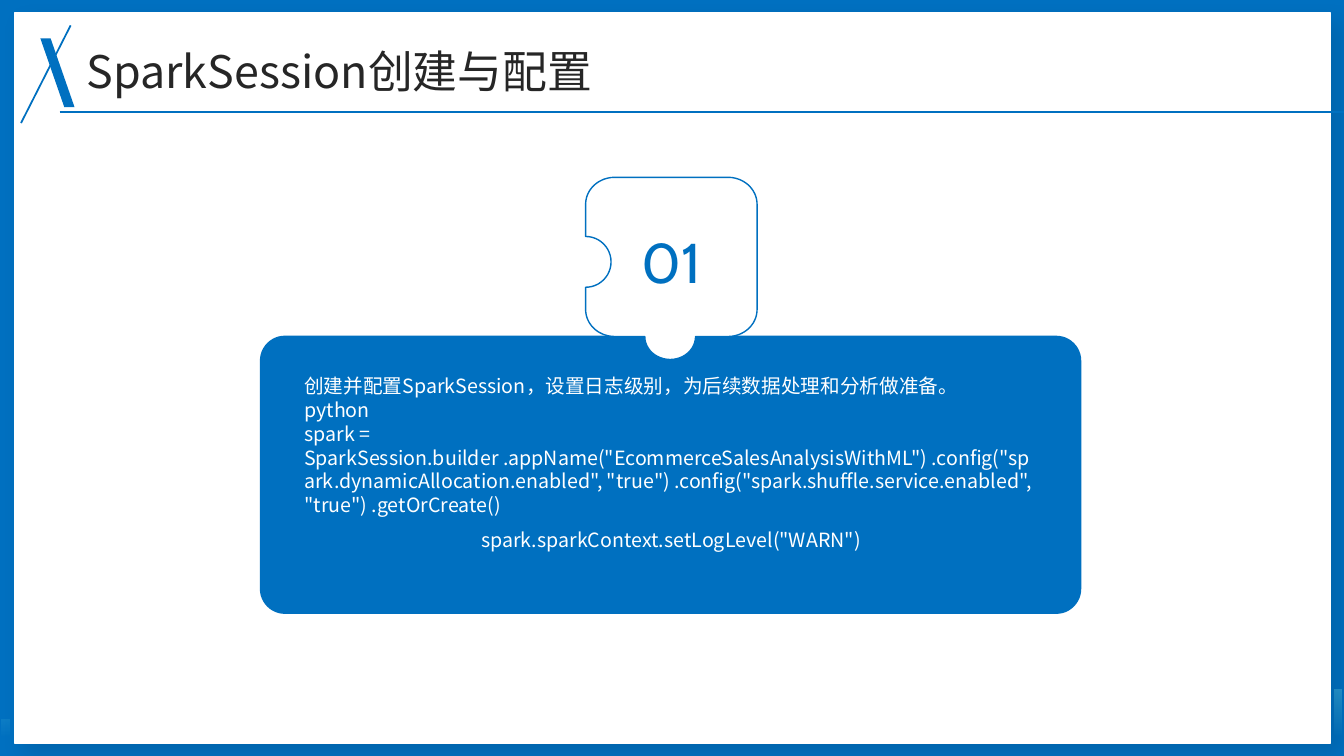
"""Build the slide on creating and configuring a SparkSession."""
from math import cos, radians, sin

from lxml import etree
from pptx import Presentation
from pptx.dml.color import RGBColor
from pptx.enum.shapes import MSO_CONNECTOR, MSO_SHAPE
from pptx.enum.text import MSO_ANCHOR, PP_ALIGN
from pptx.oxml import parse_xml
from pptx.oxml.ns import qn
from pptx.util import Cm, Pt

TITLE = "SparkSession创建与配置"
NUMBER = "01"
EXPLANATION = [
    "创建并配置SparkSession，设置日志级别，为后续数据处理和分析做准备。",
    "python",
    'spark = SparkSession.builder .appName("EcommerceSalesAnalysisWithML") .config("spark.dynamicAllocation.enabled", "true") .config("spark.shuffle.service.enabled", "true") .getOrCreate()',
    'spark.sparkContext.setLogLevel("WARN")',
]

BLUE = RGBColor(0x00, 0x70, 0xC0)
WHITE = RGBColor(0xFF, 0xFF, 0xFF)
INK = RGBColor(0x26, 0x26, 0x26)
SANS, DIGITS = "Noto Sans CJK SC", "Cabin"
RECT, ROUNDED, SLANT = MSO_SHAPE.RECTANGLE, MSO_SHAPE.ROUNDED_RECTANGLE, MSO_SHAPE.PARALLELOGRAM
STRAIGHT = MSO_CONNECTOR.STRAIGHT
TOP, MIDDLE = MSO_ANCHOR.TOP, MSO_ANCHOR.MIDDLE
LEFT, CENTER = PP_ALIGN.LEFT, PP_ALIGN.CENTER
A = "http://schemas.openxmlformats.org/drawingml/2006/main"

WIDTH, HEIGHT = 33.87, 19.05
GLOW_BARS = [(0.05, 18.14, 11), (33.63, 17.37, 30)]
GLOW_WIDTH, GLOW_END = 0.19, 18.59
TITLE_LINES = [(1.78, 0.64, 0.53, 3.1), (1.5, 2.82, WIDTH, 2.82)]
PIECE = (14.76, 4.47, 19.08, 8.48)
CORNER = (0.73, 0.68)
TAB_X, TAB_SIZE = 16.89, (0.64, 0.58)
NOTCH_Y, NOTCH_SIZE = 6.6, (0.64, 0.64)


def add_block(slide, kind, box, color):
    block = slide.shapes.add_shape(kind, *map(Cm, box))
    block.shadow.inherit = False
    block.fill.solid()
    block.fill.fore_color.rgb = color
    block.line.fill.background()
    return block


def add_glow(slide, left, top, alpha):
    glow = add_block(slide, RECT, (left, top, GLOW_WIDTH, GLOW_END - top), BLUE)
    fill = glow.fill._xPr.find(qn("a:solidFill"))
    stops = "".join(
        f'<a:gs pos="{place}"><a:srgbClr val="7AE8F0"><a:alpha val="{value * 1000}"/></a:srgbClr></a:gs>'
        for place, value in ((0, alpha), (100000, 0)))
    gradient = parse_xml(
        f'<a:gradFill xmlns:a="{A}"><a:gsLst>{stops}</a:gsLst><a:lin ang="5400000" scaled="0"/></a:gradFill>')
    fill.getparent().replace(fill, gradient)


def add_panel_shadow(panel):
    effects = panel._element.spPr.find(qn("a:effectLst"))
    shadow = etree.SubElement(effects, qn("a:outerShdw"), blurRad=str(Pt(15)),
                              dist=str(Pt(10)), dir="2700000", algn="tl", rotWithShape="0")
    color = etree.SubElement(shadow, qn("a:srgbClr"), val="000000")
    etree.SubElement(color, qn("a:alpha"), val="10000")


def arc(center_x, center_y, radii, start, end, steps=24):
    angles = [radians(start + (end - start) * i / steps) for i in range(steps + 1)]
    return [(center_x + radii[0] * cos(a), center_y + radii[1] * sin(a)) for a in angles]


def add_puzzle_piece(slide):
    left, top, right, bottom = PIECE
    rx, ry = CORNER
    outline = (
        arc(left + rx, top + ry, CORNER, 180, 270)
        + arc(right - rx, top + ry, CORNER, 270, 360)
        + arc(right - rx, bottom - ry, CORNER, 0, 90)
        + arc(TAB_X, bottom, TAB_SIZE, 0, 180)
        + arc(left + rx, bottom - ry, CORNER, 90, 180)
        + arc(left, NOTCH_Y, NOTCH_SIZE, 90, -90))
    points = [(Cm(x), Cm(y)) for x, y in outline]
    builder = slide.shapes.build_freeform(*points[0])
    builder.add_line_segments(points[1:], close=True)
    piece = builder.convert_to_shape()
    piece.shadow.inherit = False
    piece.fill.solid()
    piece.fill.fore_color.rgb = WHITE
    piece.line.color.rgb = BLUE
    piece.line.width = Pt(1)


def add_text(slide, box, lines, size, font, color, spacing, align, anchor):
    frame = slide.shapes.add_textbox(*map(Cm, box)).text_frame
    frame.word_wrap = True
    frame.vertical_anchor = anchor
    frame.margin_left = frame.margin_right = frame.margin_top = frame.margin_bottom = 0
    frame.text = "\n".join(lines)
    for paragraph in frame.paragraphs:
        paragraph.alignment = align
        paragraph.line_spacing = spacing
        for run in paragraph.runs:
            run.font.size = Pt(size)
            run.font.name = font
            run.font.color.rgb = color
            etree.SubElement(run.font._element, qn("a:ea"), typeface=font)
    return frame


def main():
    deck = Presentation()
    deck.slide_width, deck.slide_height = Cm(WIDTH), Cm(HEIGHT)
    slide = deck.slides.add_slide(deck.slide_layouts[6])

    add_block(slide, RECT, (0, 0, WIDTH, HEIGHT), BLUE)
    for bar in GLOW_BARS:
        add_glow(slide, *bar)
    panel = add_block(slide, RECT, (0.36, 0.33, 33.17, 18.39), WHITE)
    panel.line.color.rgb = WHITE
    panel.line.width = Pt(1)
    add_panel_shadow(panel)

    card = add_block(slide, ROUNDED, (6.55, 8.46, 20.7, 7.01), BLUE)
    card.adjustments[0] = 0.09
    add_puzzle_piece(slide)
    add_text(slide, (15.06, 4.85, 3.73, 2.97), [NUMBER], 40, DIGITS, BLUE, 1.3, CENTER, MIDDLE)
    explanation = add_text(slide, (7.67, 9.42, 18.49, 5.33), EXPLANATION, 14, SANS, WHITE,
                           Pt(17), LEFT, TOP)
    log_level = explanation.paragraphs[-1]
    log_level.alignment = CENTER
    log_level.space_before = Pt(8)

    add_text(slide, (2.18, 1.12, 29.82, 1.19), [TITLE], 32, SANS, INK, 1.1, LEFT, MIDDLE)
    slash = add_block(slide, SLANT, (1.02, 0.97, 0.86, 1.73), BLUE)
    slash.adjustments[0] = 0.7
    slash._element.spPr.find(qn("a:xfrm")).set("flipH", "1")
    for ends in TITLE_LINES:
        rule = slide.shapes.add_connector(STRAIGHT, *map(Cm, ends))
        rule.line.color.rgb = BLUE
        rule.line.width = Pt(1.25)
        etree.SubElement(rule._element.spPr, qn("a:effectLst"))

    deck.save("out.pptx")


if __name__ == "__main__":
    main()
